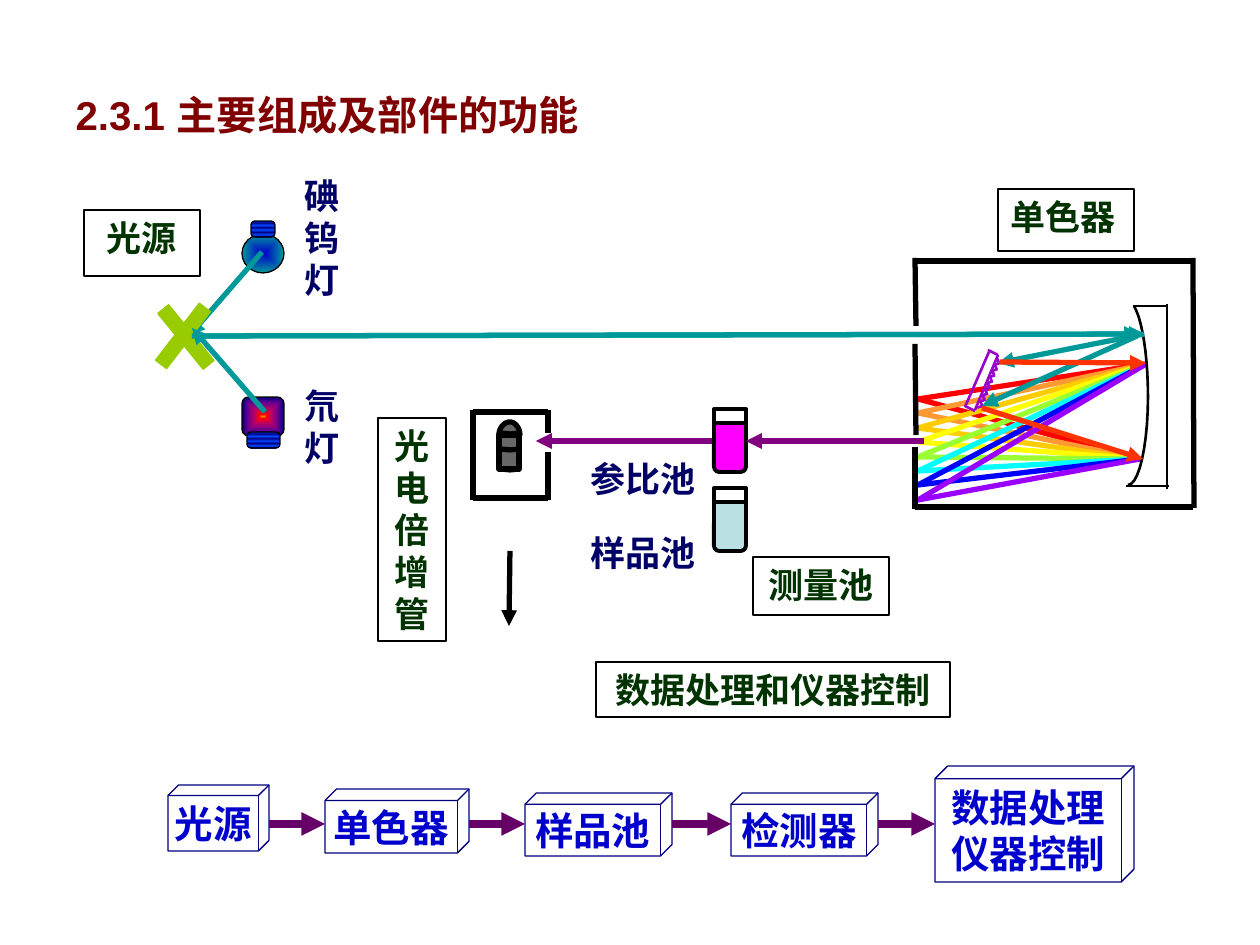
"""Build a slide on the parts of a spectrophotometer and what each one does."""
import pptx
import pptx.dml.color
import pptx.enum.shapes
import pptx.enum.text
import pptx.oxml
import pptx.oxml.ns
import pptx.util

UNIT = 914400 / 126
KIND = pptx.enum.shapes.MSO_SHAPE
ALIGN = pptx.enum.text.PP_ALIGN
ANCHOR = pptx.enum.text.MSO_ANCHOR
FIT = pptx.enum.text.MSO_AUTO_SIZE

HUE = {
    "black": "000000", "white": "FFFFFF", "title": "800000", "green": "003300",
    "navy": "000066", "edge": "000080", "blue": "0000CC", "flow": "660066",
    "beam": "800080", "teal": "009999", "orange": "FF3300", "grate": "9900CC",
    "lime": "99CC00", "pink": "FF00FF", "pale": "BBE0E3", "grey": "676767",
}
RAYS = ["FF0000", "FF9933", "FFCC00", "FFFF00", "99FF33", "00FFFF", "0000FF", "9900FF"]
FOCI = [(1140, 459), (1146, 364)]

TITLE = "2.3.1 主要组成及部件的功能"
LABELS = [
    ("光源", (84, 210, 116, 66), "green", ALIGN.CENTER),
    ("碘钨灯", (291, 168, 63, 136), "navy", ALIGN.CENTER),
    ("氘灯", (291, 378, 63, 95), "navy", ALIGN.CENTER),
    ("单色器", (998, 189, 136, 62), "green", ALIGN.JUSTIFY),
    ("测量池", (753, 557, 136, 58), "green", ALIGN.CENTER),
    ("参比池", (575, 451, 136, 53), "navy", ALIGN.CENTER),
    ("样品池", (575, 525, 136, 53), "navy", ALIGN.CENTER),
    ("光电倍增管", (378, 418, 68, 223), "green", ALIGN.CENTER),
    ("数据处理和仪器控制", (596, 662, 354, 55), "green", ALIGN.CENTER),
]
STEPS = [
    ("光源", (168, 785, 101, 66), 0.16),
    ("单色器", (325, 789, 144, 64), 0.18),
    ("样品池", (525, 793, 147, 63), 0.18),
    ("检测器", (731, 793, 147, 63), 0.18),
    ("数据处理\n仪器控制", (935, 766, 199, 116), 0.11),
]

RINGS = [(0, "0047FF"), (13, "000082"), (28, "0047FF"), (42, "000082"),
         (57, "0047FF"), (72, "000082"), (87, "0047FF"), (100, "000082")]
GLOW = [(0, "FF8200"), (10, "FF0000"), (35, "BA0066"), (70, "66008F"), (100, "000082")]
CORE = [(0, "0000CC"), (100, "009999")]
LAMPS = [
    (KIND.OVAL, (242, 234, 42, 39), None, CORE, True),
    (KIND.ROUNDED_RECTANGLE, (251, 221, 24, 16), 0.25, RINGS, False),
    (KIND.ROUNDED_RECTANGLE, (242, 397, 42, 39), 0.17, GLOW, True),
    (KIND.ROUNDED_RECTANGLE, (247, 432, 33, 16), 0.25, RINGS, False),
]
CELLS = [(409, "pink"), (488, "pale")]

MIRROR = [(1133, 306, 1166, 306), (1167, 304, 1167, 489), (1169, 486, 1126, 486)]
GRATING = [(989, 352, 965, 407), (965, 406, 975, 411),
           (975, 410, 998, 355), (998, 355, 988, 350)]
WALLS = [
    (915, 261, 1193, 261), (1193, 258, 1194, 508), (915, 507, 1193, 507),
    (915, 258, 916, 326), (915, 344, 916, 435), (915, 447, 915, 509),
    (548, 412, 473, 412), (473, 410, 473, 500), (473, 498, 548, 498),
    (548, 410, 548, 433), (548, 452, 548, 500),
]
BOW = [[(1134, 306), (1142, 319), (1148, 355), (1148, 397)],
       [(1148, 397), (1148, 445), (1139, 485), (1128, 485)]]
DOME = [[(499, 435), (499, 428), (504, 422), (510, 422)],
        [(510, 422), (515, 422), (520, 428), (520, 435)]]
PATHS = [
    ((1144, 334, 998, 363), "teal"), ((1137, 336, 982, 406), "teal"),
    ((1000, 362, 1146, 363), "orange"), ((982, 408, 1143, 459), "orange"),
]

deck = pptx.Presentation()
deck.slide_width = pptx.util.Inches(10)
deck.slide_height = pptx.util.Inches(7.5)
slide = deck.slides.add_slide(deck.slide_layouts[5])
shapes = slide.shapes


def emu(*nums):
    return [round(n * UNIT) for n in nums]


def tint(name):
    return pptx.dml.color.RGBColor.from_string(HUE.get(name, name))


def style(shape, fill=None, line=None, width=0.75):
    shape.shadow.inherit = False
    if fill:
        shape.fill.solid()
        shape.fill.fore_color.rgb = tint(fill)
    else:
        shape.fill.background()
    if line:
        shape.line.color.rgb = tint(line)
        shape.line.width = pptx.util.Pt(width)
    else:
        shape.line.fill.background()
    return shape


def solid(kind, box, adj=None, **look):
    shape = shapes.add_shape(kind, *emu(*box))
    if adj is not None:
        shape.adjustments[0] = adj
    return style(shape, **look)


def write(shape, text, size=20, color="green", align=ALIGN.CENTER,
          anchor=ANCHOR.TOP, wrap=True):
    frame = shape.text_frame
    frame.text = text
    frame.word_wrap = wrap
    frame.vertical_anchor = anchor
    for para in frame.paragraphs:
        para.alignment = align
        para.font.size = pptx.util.Pt(size)
        para.font.name = "Arial"
        para.font.bold = True
        para.font.color.rgb = tint(color)


def stroke(ends, color="black", width=3, tip=None):
    line = shapes.add_connector(pptx.enum.shapes.MSO_CONNECTOR.STRAIGHT, *emu(*ends))
    line.line.color.rgb = tint(color)
    line.line.width = pptx.util.Pt(width)
    props = line.element.spPr
    if tip:
        end = pptx.oxml.parse_xml(
            f'<a:{tip} {pptx.oxml.ns.nsdecls("a")} type="triangle"/>')
        props.find(pptx.oxml.ns.qn("a:ln")).append(end)
    props.append(pptx.oxml.parse_xml(f'<a:effectLst {pptx.oxml.ns.nsdecls("a")}/>'))


def shade(shape, stops, round_):
    marks = "".join(f'<a:gs pos="{pos * 1000}"><a:srgbClr val="{hue}"/></a:gs>'
                    for pos, hue in stops)
    flow = ('<a:path path="shape"><a:fillToRect l="50000" t="50000" r="50000" '
            'b="50000"/></a:path>' if round_ else '<a:lin ang="5400000" scaled="1"/>')
    grad = pptx.oxml.parse_xml(f'<a:gradFill {pptx.oxml.ns.nsdecls("a")} rotWithShape="1">'
                               f'<a:gsLst>{marks}</a:gsLst>{flow}</a:gradFill>')
    props = shape.element.spPr
    props.replace(props.find(pptx.oxml.ns.qn("a:solidFill")), grad)


def curve(parts, count=10):
    dots = []
    for a, b, c, d in parts:
        for step in range(count + 1):
            t = step / count
            s = 1 - t
            dots.append(tuple(s**3 * p + 3 * s * s * t * q + 3 * s * t * t * u + t**3 * v
                              for p, q, u, v in zip(a, b, c, d)))
    return dots


def trace(dots, close=False, **look):
    pen = shapes.build_freeform(*emu(*dots[0]))
    pen.add_line_segments([emu(*dot) for dot in dots[1:]], close=close)
    style(pen.convert_to_shape(), line="black", **look)


title = shapes.title
title.left, title.top, title.width, title.height = emu(63, 84, 648, 62)
write(title, TITLE, size=23, color="title", align=ALIGN.LEFT)
title.text_frame.auto_size = FIT.SHAPE_TO_FIT_TEXT

stroke((536, 441, 746, 441), "beam", tip="headEnd")
for focus in FOCI:
    for i, hue in enumerate(RAYS):
        stroke((*focus, 918, 399 + round(14.4 * i)), hue)

for kind, box, adj, stops, round_ in LAMPS:
    lamp = solid(kind, box, adj, fill="white", line="black")
    shade(lamp, stops, round_)

trace(curve(BOW), width=1.5)
for ends in MIRROR:
    stroke(ends, width=1.5)
for ends in GRATING:
    stroke(ends, "grate", 1.5)
for i in range(8):
    x, y = 997 - 2.4 * i, 358 + 6.1 * i
    stroke((x, y, x + 2, y + 5), "grate", 1.5)
    stroke((x + 3, y + 5, x - 3, y + 7), "grate", 1.5)

for top, hue in CELLS:
    solid(KIND.ROUNDED_RECTANGLE, (714, top + 8, 32, 55), 0.17,
          fill=hue, line="black", width=2.25)
    solid(KIND.RECTANGLE, (714, top, 32, 14), fill="white", line="black", width=2.25)

solid(KIND.RECTANGLE, (499, 435, 20, 34), fill="grey", line="black", width=3)
trace(curve(DOME), close=True, fill="grey", width=3)
for y in (469, 433, 449):
    trace([(500, y), (510, y + 1), (520, y)], width=3)
for ends in WALLS:
    stroke(ends)

for text, box, color, align in LABELS:
    edge = "black" if color == "green" else None
    label = solid(KIND.RECTANGLE, box, fill="white", line=edge)
    write(label, text, color=color, align=align)

solid(KIND.RECTANGLE, (179, 301, 14, 72), fill="lime", line="lime").rotation = 320.9
stroke((262, 252, 189, 336), "teal", tip="tailEnd")
stroke((197, 336, 1145, 334), "teal", tip="tailEnd")
solid(KIND.RECTANGLE, (176, 300, 14, 72), fill="lime", line="lime").rotation = 37.5
stroke((265, 412, 192, 328), "teal", tip="tailEnd")
for ends, color in PATHS:
    stroke(ends, color, tip="tailEnd")
stroke((746, 441, 924, 441), "beam", tip="headEnd")
stroke((510, 551, 509, 626), tip="tailEnd")

for text, box, adj in STEPS:
    cube = solid(KIND.CUBE, box, adj, line="edge")
    write(cube, text, size=22, color="blue", anchor=ANCHOR.MIDDLE, wrap=False)
for (_, box, _), (_, after, _) in zip(STEPS, STEPS[1:]):
    stroke((box[0] + box[2], 824, after[0], 824), "flow", 4.5, "tailEnd")
stroke((192, 336, 1140, 334), "teal", tip="tailEnd")

deck.save("out.pptx")
